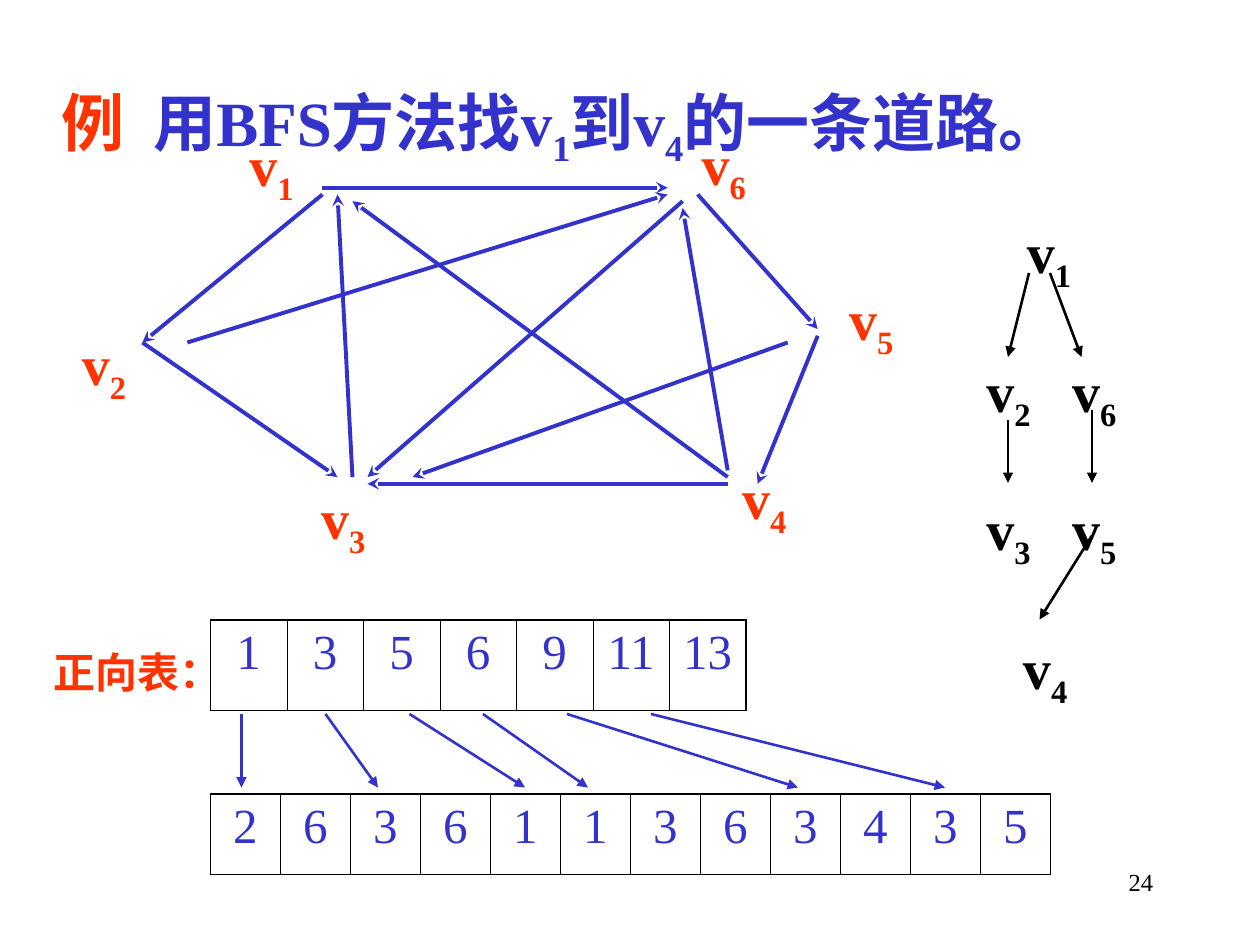
from lxml.etree import SubElement as Sub
from pptx import Presentation
from pptx.dml.color import RGBColor as Rgb
from pptx.enum.shapes import MSO_CONNECTOR as Link, MSO_SHAPE as Geo
from pptx.enum.text import MSO_ANCHOR as Anchor, MSO_AUTO_SIZE as Fit, PP_ALIGN as Align
from pptx.oxml.ns import qn
from pptx.util import Inches, Pt

THEME = {
    "face": "Times New Roman",
    "blue": "3333CC", "red": "FF3300", "black": "000000",
    "title": 36, "node": 32, "cell": 28, "label": 24, "page": 14,
    "edge": 2.25, "arrow": 1.5, "frame": 1.08, "rule": 0.45,
}

# Text runs: (text, colour, is subscript)
TITLE = [("例  ", "red", 0), ("用BFS方法找v", "blue", 0), ("1", "blue", 1),
         ("到v", "blue", 0), ("4", "blue", 1), ("的一条道路。", "blue", 0)]

# Node: number, centre x, centre y
GRAPH = [(1, 2.16, 1.34), (6, 5.75, 1.33), (2, 0.83, 2.92),
         (3, 2.73, 4.14), (4, 6.07, 3.98), (5, 6.92, 2.56)]

# Edges in columns and rows of the graph's grid: x1, y1, x2, y2
EDGES = [(12, 1, 0, 23), (0, 23, 13, 43), (12, 0, 35, 0), (37, 1, 45, 21),
         (45, 22, 41, 44), (39, 44, 15, 44), (3, 23, 35, 1), (14, 43, 13, 1),
         (39, 43, 14, 2), (36, 2, 15, 43), (39, 42, 36, 3), (43, 23, 18, 43)]
GRID = (1.13, 1.49, 5.36 / 45, 2.35 / 44)

# Tree: number, centre x, level
TREE = [(1, 8.33, 0), (2, 8.01, 1), (6, 8.69, 1),
        (3, 8.01, 2), (5, 8.69, 2), (4, 8.3, 3)]
TREE_TOP, LEVEL = 2.03, 1.1

# Arrows in twelfths of an inch
TWELFTHS = (0, 0, 1 / 12, 1 / 12)
BRANCHES = [(98, 26, 96, 34), (100, 26, 103, 34), (96, 40, 96, 46),
            (104, 39, 104, 46), (104, 51, 99, 59)]
POINTERS = [(a, 68, b, 75) for a, b in
            [(23, 23), (31, 36), (39, 50), (46, 56), (54, 76), (62, 90)]]

# Tables: top, width, height, values
TABLES = [(4.92, 4.25, 0.72, [1, 3, 5, 6, 9, 11, 13]),
          (6.3, 6.67, 0.64, [2, 6, 3, 6, 1, 1, 3, 6, 3, 4, 3, 5])]
TABLE_LEFT = 1.67


def put(obj, **vals):
    for key, val in vals.items():
        setattr(obj, key, val)


def box(x, y, w, h):
    return [Inches(v) for v in (x, y, w, h)]


def write(frame, runs, size, bold=True, align=Align.LEFT, before=0):
    para = frame.paragraphs[0]
    put(para, alignment=align, space_before=Pt(before))
    for text, tone, sub in runs:
        run = para.add_run()
        run.text = text
        put(run.font, name=THEME["face"], size=Pt(THEME[size]), bold=bold)
        run.font.color.rgb = Rgb.from_string(THEME[tone])
        if sub:
            run.font._element.set("baseline", "-25000")


def node(num, x, y, tone):
    oval = slide.shapes.add_shape(Geo.OVAL, *box(x - 0.42, y - 0.2, 0.83, 0.4))
    oval.fill.background()
    oval.line.fill.background()
    oval.shadow.inherit = False
    put(oval.text_frame, word_wrap=False, vertical_anchor=Anchor.MIDDLE)
    write(oval.text_frame, [("v", tone, 0), (str(num), tone, 1)], "node",
          align=Align.CENTER)


def arrow(ends, grid, tone, width, head):
    left, top, dx, dy = grid
    x1, y1, x2, y2 = ends
    line = slide.shapes.add_connector(
        Link.STRAIGHT, *box(left + x1 * dx, top + y1 * dy,
                            left + x2 * dx, top + y2 * dy))
    line.line.width = Pt(THEME[width])
    line.line.color.rgb = Rgb.from_string(THEME[tone])
    Sub(line.line._get_or_add_ln(), qn("a:tailEnd"), type=head)
    Sub(line._element.spPr, qn("a:effectLst"))


def border(cell, sides):
    props = cell._tc.get_or_add_tcPr()
    for place, (side, width) in enumerate(sides.items()):
        line = props.makeelement(qn("a:ln" + side),
                                 {"w": str(int(Pt(THEME[width])))})
        fill = Sub(line, qn("a:solidFill"))
        Sub(fill, qn("a:srgbClr"), val=THEME["black"])
        props.insert(place, line)


def table(top, width, height, vals):
    last = len(vals) - 1
    grid = slide.shapes.add_table(
        1, len(vals), *box(TABLE_LEFT, top, width, height)).table
    put(grid, first_row=False, horz_banding=False)
    for i, val in enumerate(vals):
        grid.columns[i].width = Inches(width / len(vals))
        cell = grid.cell(0, i)
        cell.fill.background()
        write(cell.text_frame, [(str(val), "blue", 0)], "cell", False,
              Align.CENTER, 7)
        border(cell, {"L": "rule" if i else "frame",
                      "R": "rule" if i < last else "frame",
                      "T": "frame", "B": "frame"})


def label(text, place, tone, size, **style):
    frame = slide.shapes.add_textbox(*box(*place)).text_frame
    frame.word_wrap = True
    write(frame, [(text, tone, 0)], size, **style)


deck = Presentation()
put(deck, slide_width=Inches(10), slide_height=Inches(7.5))
slide = deck.slides.add_slide(deck.slide_layouts[5])

title = slide.shapes.title
for key, val in zip(("left", "top", "width", "height"),
                    box(0.39, 0.61, 9.12, 0.79)):
    setattr(title, key, val)
put(title.text_frame, word_wrap=False, auto_size=Fit.NONE,
    vertical_anchor=Anchor.TOP)
write(title.text_frame, TITLE, "title")

for num, x, y in GRAPH:
    node(num, x, y, "red")
for num, x, level in TREE:
    node(num, x, TREE_TOP + level * LEVEL, "black")
for args in TABLES:
    table(*args)
for group, *look in [(EDGES, GRID, "blue", "edge", "stealth"),
                     (POINTERS, TWELFTHS, "blue", "arrow", "triangle"),
                     (BRANCHES, TWELFTHS, "black", "arrow", "triangle")]:
    for ends in group:
        arrow(ends, *look)

label("正向表：", (0.33, 5.08, 1.67, 0.5), "red", "label", before=15)
label("24", (7.17, 6.83, 2.08, 0.5), "black", "page", bold=False,
      align=Align.RIGHT)

deck.save("out.pptx")
